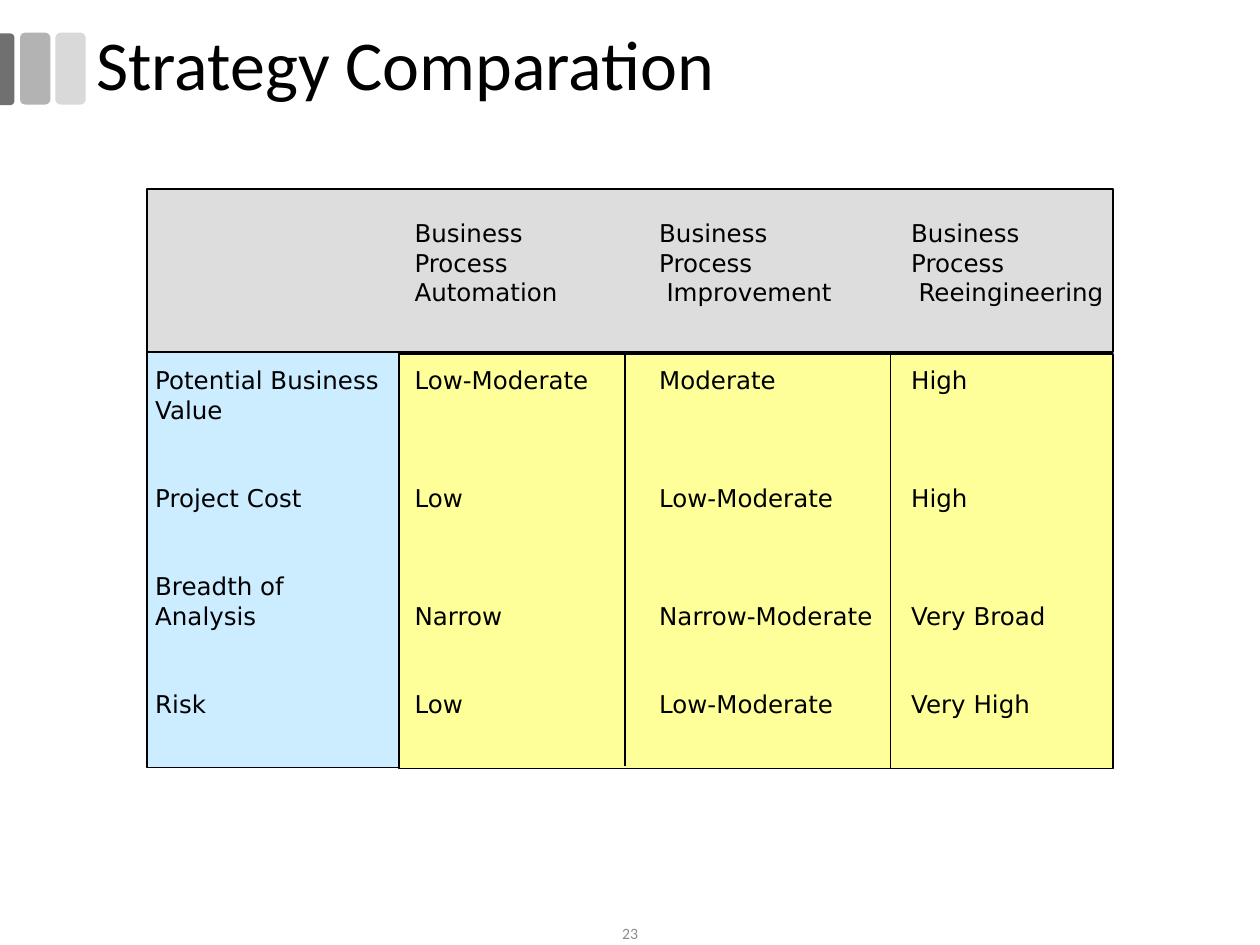
"""Build the strategy comparison slide on a grid of 120 columns by 90 rows."""
import pptx
import pptx.dml.color
import pptx.enum.shapes
import pptx.enum.text
import pptx.oxml.ns
import pptx.util
from lxml import etree

deck = pptx.Presentation()
deck.slide_width = pptx.util.Inches(10)
deck.slide_height = pptx.util.Inches(7.5)
page = deck.slides.add_slide(deck.slide_layouts[6])
cell = deck.slide_width / 120
kinds = pptx.enum.shapes.MSO_SHAPE
middle = pptx.enum.text.MSO_ANCHOR.MIDDLE
line_pitch = 16.8


def grid(*counts):
    return [round(count * cell) for count in counts]


def color(hex_value):
    return pptx.dml.color.RGBColor.from_string(hex_value)


blocks = [
    (kinds.ROUNDED_RECTANGLE, (5.28, 3.12, 2.88, 6.84), "D9D9D9", False),
    (kinds.ROUNDED_RECTANGLE, (1.92, 3.12, 2.88, 6.84), "B3B3B3", False),
    (kinds.ROUND_2_SAME_RECTANGLE, (-2.76, 5.88, 6.84, 1.44), "707070", False),
    (kinds.RECTANGLE, (14, 18, 92, 15.5), "DDDDDD", True),
    (kinds.RECTANGLE, (38, 33.7, 68, 39.5), "FFFF99", True),
    (kinds.RECTANGLE, (14, 33.5, 24, 39.6), "CCECFF", True),
]
for kind, place, fill, outlined in blocks:
    block = page.shapes.add_shape(kind, *grid(*place))
    block.shadow.inherit = False
    block.fill.solid()
    block.fill.fore_color.rgb = color(fill)
    if outlined:
        block.line.color.rgb = color("000000")
        block.line.width = pptx.util.Pt(1)
    else:
        block.line.fill.background()
    if kind == kinds.ROUND_2_SAME_RECTANGLE:
        block.rotation = 90
        block.adjustments[0] = 0.29

for column, top, bottom in [(59.5, 33.5, 73), (84.8, 33.7, 73.2)]:
    divider = page.shapes.add_connector(
        pptx.enum.shapes.MSO_CONNECTOR.STRAIGHT, *grid(column, bottom, column, top))
    divider.line.color.rgb = color("000000")
    divider.line.width = pptx.util.Pt(1)
    etree.SubElement(divider._element.spPr, pptx.oxml.ns.qn("a:effectLst"))

labels = [
    ("Strategy Comparation", (8, 1.92, 110, 9.12), 40, "000000", pptx.enum.text.PP_ALIGN.LEFT),
    ("23", (46.5, 88, 27, 2), 9, "8C8C8C", pptx.enum.text.PP_ALIGN.CENTER),
]
for words, place, size, ink, alignment in labels:
    box = page.shapes.add_textbox(*grid(*place))
    box.text_frame.word_wrap = True
    box.text_frame.vertical_anchor = middle
    box.text_frame.text = words
    para = box.text_frame.paragraphs[0]
    para.alignment = alignment
    para.line_spacing = 0.9
    para.font.name = "Calibri"
    para.font.size = pptx.util.Pt(size)
    para.font.color.rgb = color(ink)

stops = (24.7, 48, 72)
shifted_stops = (24.7, 48.7, 72.7)
rows = [
    ("\tBusiness\tBusiness\tBusiness", 0, stops),
    ("\tProcess\tProcess\tProcess", 0, stops),
    ("\tAutomation\tImprovement\tReeingineering", 0, shifted_stops),
    ("Potential Business\tLow-Moderate\tModerate\tHigh", 2, stops),
    ("Value", 0, stops),
    ("Project Cost\tLow\tLow-Moderate\tHigh", 2, stops),
    ("Breadth of", 2, stops),
    ("Analysis\tNarrow\tNarrow-Moderate\tVery Broad", 0, stops),
    ("Risk\tLow\tLow-Moderate\tVery High", 2, stops),
]
comparison = page.shapes.add_textbox(*grid(13.6, 20.2, 93.4, 49.3))
comparison.text_frame.word_wrap = True
comparison.text_frame.text = "\n".join(words for words, gap, tabs in rows)
for para, (words, gap, tabs) in zip(comparison.text_frame.paragraphs, rows):
    para.line_spacing = pptx.util.Pt(line_pitch)
    para.space_before = pptx.util.Pt(gap * line_pitch)
    tab_list = etree.SubElement(para._p.get_or_add_pPr(), pptx.oxml.ns.qn("a:tabLst"))
    for position in grid(*tabs):
        etree.SubElement(tab_list, pptx.oxml.ns.qn("a:tab"), pos=str(position), algn="l")
    para.font.name = "DejaVu Sans"
    para.font.size = pptx.util.Pt(14)
    para.font.color.rgb = color("000000")

deck.save("out.pptx")
